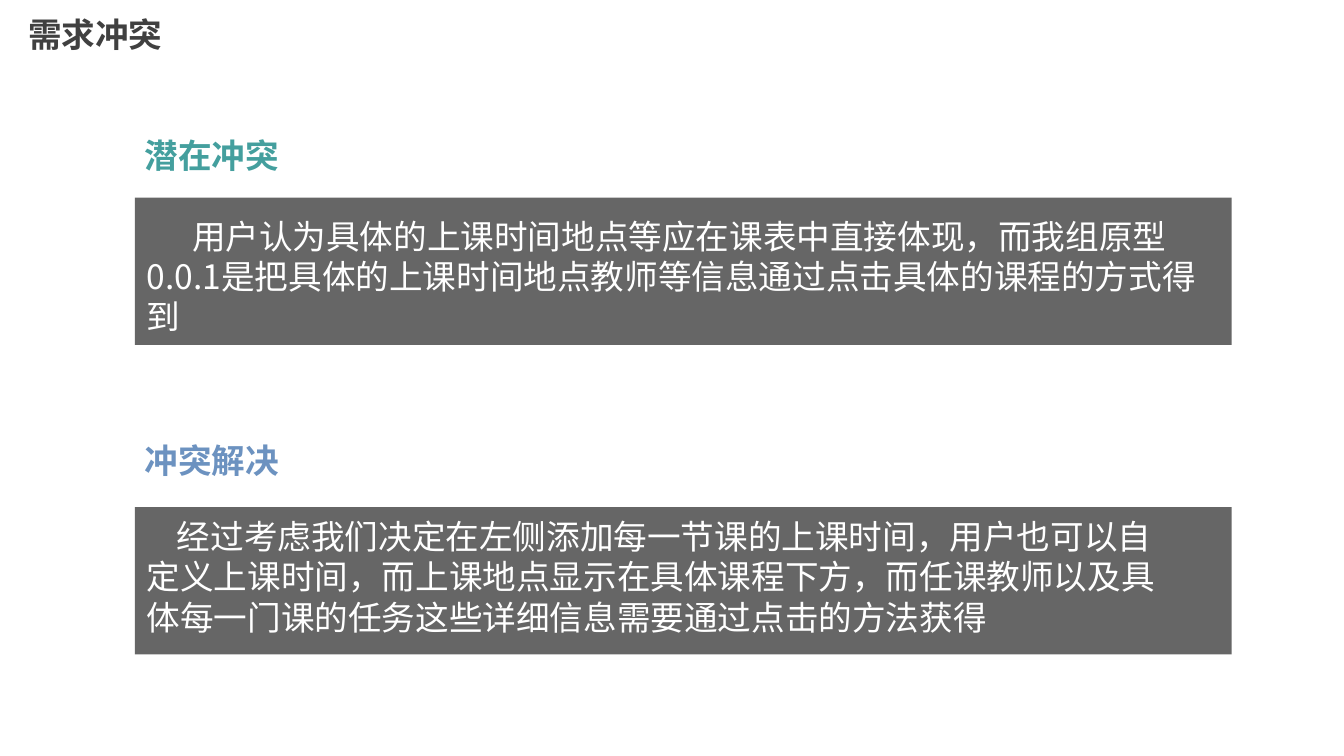
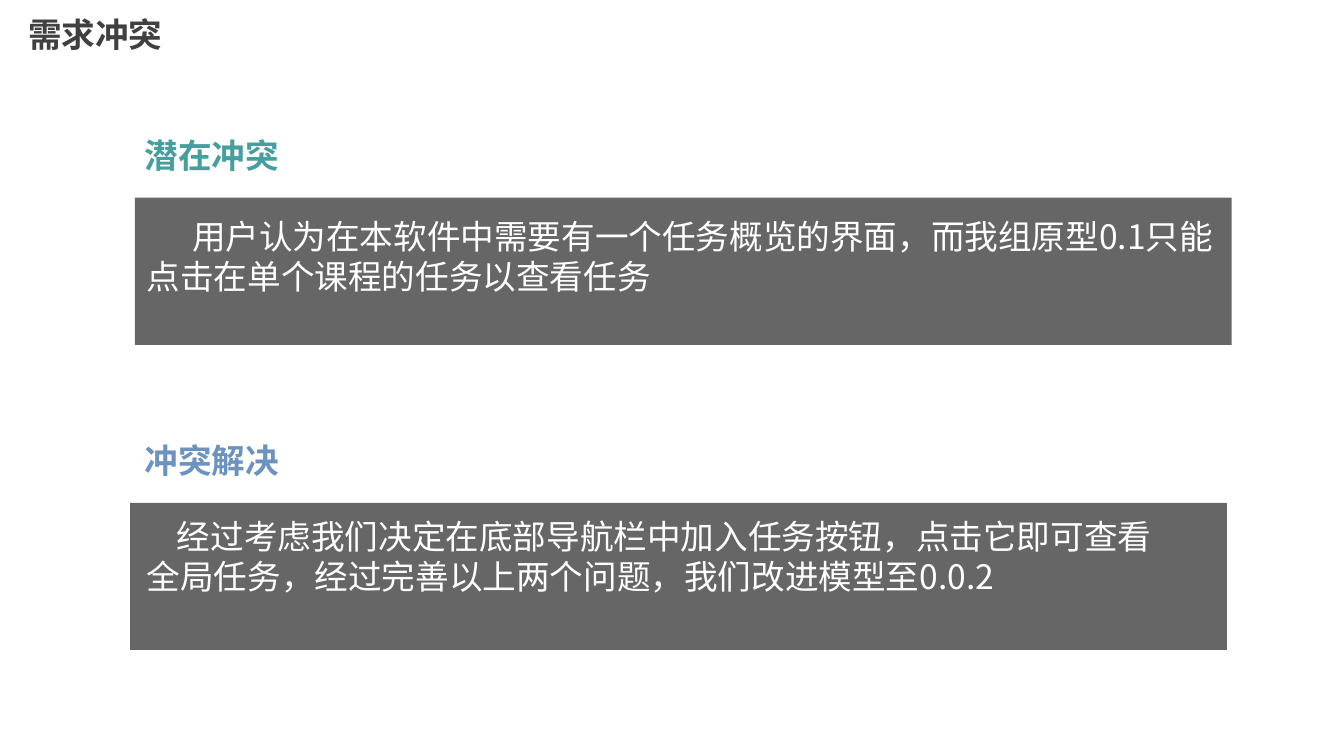
"""Build two slides that each show a requirement conflict and its resolution."""
from dataclasses import dataclass

import lxml.etree
import pptx
import pptx.dml.color
import pptx.enum.shapes
import pptx.enum.text
import pptx.oxml.ns
import pptx.util

Cm = pptx.util.Cm
FONT = "Noto Sans CJK SC"
TEXT_SIZE = 24
TITLE_COLOR = "404040"
PANEL_COLOR = "262626"
PANEL_OPACITY = 70
BODY_COLOR = "FFFFFF"
TITLE = "需求冲突"
LABEL_SIZE = (3.96, 1.27)
PANEL_SIZE = (27.64, 3.71)
LINE_HEIGHT = 1.02
BODY_MARGINS = 0.26


@dataclass
class Section:
    """Heading style and the offsets of its parts from the heading corner."""
    heading: str
    color: str
    left: float
    top: float
    panel_offset: tuple
    body_offset: tuple
    body_width: float
    indent: float


CONFLICT = Section("潜在冲突", "449F9E", 3.4, 3.28, (0, 1.7), (0.05, 2.03), 27.48, 1.14)
SOLUTION = Section("冲突解决", "6C92C0", 3.4, 10.95, (0, 1.83), (0.05, 1.93), 26.54, 0.76)

SLIDES = [
    [
        (CONFLICT, CONFLICT.panel_offset, 3,
         "用户认为具体的上课时间地点等应在课表中直接体现，而我组原型0.0.1是把具体的上课时间地点教师等信息"
         "通过点击具体的课程的方式得到"),
        (SOLUTION, SOLUTION.panel_offset, 3,
         "经过考虑我们决定在左侧添加每一节课的上课时间，用户也可以自定义上课时间，而上课地点显示在具体课程下方，"
         "而任课教师以及具体每一门课的任务这些详细信息需要通过点击的方法获得"),
    ],
    [
        (CONFLICT, CONFLICT.panel_offset, 2,
         "用户认为在本软件中需要有一个任务概览的界面，而我组原型0.1只能点击在单个课程的任务以查看任务"),
        (SOLUTION, (-0.12, 1.72), 2,
         "经过考虑我们决定在底部导航栏中加入任务按钮，点击它即可查看全局任务，经过完善以上两个问题，我们改进模型至0.0.2"),
    ],
]


def rgb(value):
    """Turn a hex string into a colour."""
    return pptx.dml.color.RGBColor.from_string(value)


def add_text(slide, box, text, color, bold=False, wrap=False, indent=0):
    """Place a text box whose first line may be indented."""
    shape = slide.shapes.add_textbox(*map(Cm, box))
    frame = shape.text_frame
    frame.text = text
    frame.word_wrap = wrap
    frame.auto_size = pptx.enum.text.MSO_AUTO_SIZE.SHAPE_TO_FIT_TEXT
    paragraph = frame.paragraphs[0]
    if indent:
        properties = paragraph._p.get_or_add_pPr()
        properties.set("marL", "0")
        properties.set("indent", str(int(Cm(indent))))
    run = paragraph.runs[0]
    run.font.name = FONT
    run.font.size = pptx.util.Pt(TEXT_SIZE)
    run.font.bold = bold
    run.font.color.rgb = rgb(color)
    east_asian = lxml.etree.SubElement(run._r.get_or_add_rPr(), pptx.oxml.ns.qn("a:ea"))
    east_asian.set("typeface", FONT)


def add_panel(slide, left, top):
    """Place the translucent dark panel behind a body text."""
    rectangle = pptx.enum.shapes.MSO_SHAPE.RECTANGLE
    shape = slide.shapes.add_shape(rectangle, *map(Cm, (left, top, *PANEL_SIZE)))
    shape.shadow.inherit = False
    shape.line.fill.background()
    shape.fill.solid()
    shape.fill.fore_color.rgb = rgb(PANEL_COLOR)
    color = shape._element.spPr.find(".//" + pptx.oxml.ns.qn("a:srgbClr"))
    alpha = lxml.etree.SubElement(color, pptx.oxml.ns.qn("a:alpha"))
    alpha.set("val", str(PANEL_OPACITY * 1000))


def add_section(slide, section, panel_offset, line_count, body):
    """Place a panel, its heading and its body text."""
    left, top = section.left, section.top
    add_panel(slide, left + panel_offset[0], top + panel_offset[1])
    add_text(slide, (left, top, *LABEL_SIZE), section.heading, section.color, bold=True)
    body_box = (left + section.body_offset[0], top + section.body_offset[1],
                section.body_width, line_count * LINE_HEIGHT + BODY_MARGINS)
    add_text(slide, body_box, body, BODY_COLOR, wrap=True, indent=section.indent)


def add_conflict_slide(presentation, sections):
    """Add a slide with the shared title and its sections."""
    slide = presentation.slides.add_slide(presentation.slide_layouts[6])
    add_text(slide, (0.46, 0.23, *LABEL_SIZE), TITLE, TITLE_COLOR, bold=True)
    for section in sections:
        add_section(slide, *section)


def main():
    """Build and save the presentation."""
    presentation = pptx.Presentation()
    presentation.slide_width = Cm(33.87)
    presentation.slide_height = Cm(19.05)
    for sections in SLIDES:
        add_conflict_slide(presentation, sections)
    presentation.save("out.pptx")


if __name__ == "__main__":
    main()
